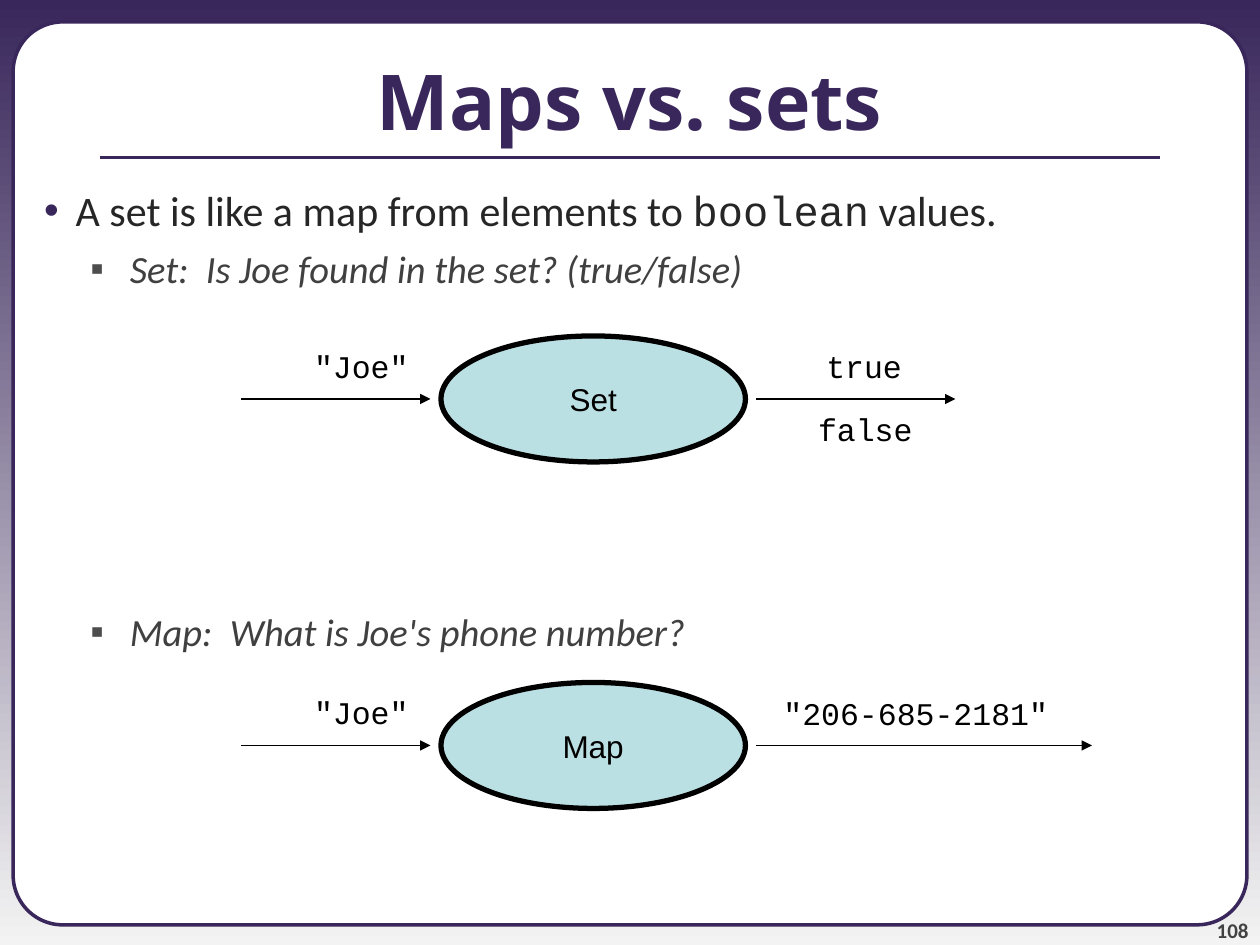
from dataclasses import dataclass

from pptx import Presentation
from pptx import util as u
from pptx.dml.color import RGBColor
from pptx.enum import shapes, text
from pptx.oxml import parse_xml
from pptx.oxml.ns import nsdecls


@dataclass(frozen=True)
class Theme:
    purple: str = "39275B"
    pale: str = "F3F3F3"
    white: str = "FFFFFF"
    black: str = "000000"
    oval: str = "BBE0E3"
    body: str = "262626"
    detail: str = "404040"
    marker: str = "4D4D4D"
    number: str = "424242"
    heading_font: str = "Open Sans"
    body_font: str = "Calibri"
    code_font: str = "Courier New"
    label_font: str = "Arial"
    title_size: float = 44
    point_size: float = 24
    detail_size: float = 22
    label_size: float = 18
    number_size: float = 12


def apply(target, values):
    for name, value in values.items():
        setattr(target, name, value)


class SlideBuilder:
    def __init__(self, presentation, theme):
        self.theme = theme
        self.slide = presentation.slides.add_slide(presentation.slide_layouts[1])

    def background(self, top, bottom):
        fill = self.slide.background.fill
        fill.gradient()
        fill.gradient_angle = 270
        for stop, color in zip(fill.gradient_stops, (top, bottom)):
            stop.color.rgb = RGBColor.from_string(color)

    def place(self, shape, left, top, width, height):
        values = dict(left=left, top=top, width=width, height=height)
        apply(shape, {name: u.Pt(value) for name, value in values.items()})

    def frame(self, shape, margins=(7.2, 3.6), **values):
        horizontal, vertical = (u.Pt(margin) for margin in margins)
        defaults = dict(
            margin_left=horizontal, margin_right=horizontal,
            margin_top=vertical, margin_bottom=vertical,
            auto_size=text.MSO_AUTO_SIZE.NONE, word_wrap=True,
            vertical_anchor=text.MSO_ANCHOR.TOP,
        )
        apply(shape.text_frame, {**defaults, **values})
        return shape.text_frame

    def words(self, paragraph, content, font, size, color, **values):
        run = paragraph.add_run()
        run.text = content
        apply(run.font, dict(name=font, size=u.Pt(size), **values))
        run.font.color.rgb = RGBColor.from_string(color)

    def shape(self, kind, box, fill, line, weight):
        shape = self.slide.shapes.add_shape(kind, *map(u.Pt, box))
        shape.shadow.inherit = False
        shape.fill.solid()
        shape.fill.fore_color.rgb = RGBColor.from_string(fill)
        shape.line.color.rgb = RGBColor.from_string(line)
        shape.line.width = u.Pt(weight)
        return shape

    def panel(self, box):
        theme = self.theme
        panel = self.shape(shapes.MSO_SHAPE.ROUNDED_RECTANGLE, box, theme.white, theme.purple, 2)
        panel.adjustments[0] = 0.055
        self.slide.shapes.title.element.addprevious(panel.element)

    def title(self, content, box):
        theme, title = self.theme, self.slide.shapes.title
        self.place(title, *box)
        frame = self.frame(title, vertical_anchor=text.MSO_ANCHOR.MIDDLE)
        paragraph = frame.paragraphs[0]
        paragraph.alignment = text.PP_ALIGN.CENTER
        self.words(paragraph, content, theme.heading_font, theme.title_size, theme.purple, bold=True)

    def bullets(self, box):
        body = self.slide.placeholders[1]
        self.place(body, *box)
        return self.frame(body)

    def bullet(self, paragraph, level, before, indent, hanging, mark, color):
        apply(paragraph, dict(level=level, space_before=u.Pt(before), alignment=text.PP_ALIGN.LEFT))
        properties = paragraph._p.get_or_add_pPr()
        properties.set("marL", str(u.Pt(indent)))
        properties.set("indent", str(-u.Pt(hanging)))
        for tag, content in (
            ("buClr", f'><a:srgbClr val="{color}"/></a:buClr>'),
            ("buFont", ' typeface="Arial"/>'),
            ("buChar", f' char="{mark}"/>'),
        ):
            properties.append(parse_xml(f'<a:{tag} {nsdecls("a")}{content}'))

    def point(self, paragraph, pieces):
        theme = self.theme
        self.bullet(paragraph, 0, 6, 36, 18, "•", theme.purple)
        for content, font in pieces:
            self.words(paragraph, content, font, theme.point_size, theme.body)

    def detail(self, paragraph, content, before):
        theme = self.theme
        self.bullet(paragraph, 1, before, 67, 22.5, "▪", theme.marker)
        self.words(paragraph, content, theme.body_font, theme.detail_size, theme.detail, italic=True)

    def line(self, start, end, color, weight, arrow=False):
        line = self.slide.shapes.add_connector(
            shapes.MSO_CONNECTOR.STRAIGHT, *map(u.Pt, (*start, *end)))
        line.line.color.rgb = RGBColor.from_string(color)
        line.line.width = u.Pt(weight)
        if arrow:
            line.get_or_add_ln().append(
                parse_xml(f'<a:tailEnd {nsdecls("a")} type="triangle"/>'))
        line.element.spPr.append(parse_xml(f'<a:effectLst {nsdecls("a")}/>'))

    def oval(self, content, box):
        theme = self.theme
        oval = self.shape(shapes.MSO_SHAPE.OVAL, box, theme.oval, theme.black, 3)
        frame = self.frame(oval, word_wrap=False, vertical_anchor=text.MSO_ANCHOR.MIDDLE)
        paragraph = frame.paragraphs[0]
        paragraph.alignment = text.PP_ALIGN.CENTER
        self.words(paragraph, content, theme.label_font, theme.label_size, theme.black)

    def label(self, content, left, top, width):
        theme = self.theme
        box = self.slide.shapes.add_textbox(*map(u.Pt, (left, top, width, 29)))
        frame = self.frame(box, word_wrap=False, auto_size=text.MSO_AUTO_SIZE.SHAPE_TO_FIT_TEXT)
        paragraph = frame.paragraphs[0]
        paragraph.alignment = text.PP_ALIGN.RIGHT
        self.words(paragraph, content, theme.code_font, theme.label_size, theme.black)

    def page_number(self, content, box):
        theme = self.theme
        shape = self.slide.shapes.add_textbox(*map(u.Pt, box))
        frame = self.frame(shape, (0, 0), vertical_anchor=text.MSO_ANCHOR.BOTTOM)
        paragraph = frame.paragraphs[0]
        paragraph.alignment = text.PP_ALIGN.RIGHT
        self.words(paragraph, content, theme.body_font, theme.number_size, theme.number, bold=True)

    def lookup(self, name, middle, output_end, results):
        black = self.theme.black
        self.oval(name, (252, middle - 36, 174, 72))
        for start, end in ((138, 246), (432, output_end)):
            self.line((start, middle), (end, middle), black, 0.75, arrow=True)
        for content, left, offset, width in (('"Joe"', 172, -33.5, 68.5), *results):
            self.label(content, left, middle + offset, width)


theme = Theme()
presentation = Presentation()
apply(presentation, dict(slide_width=u.Pt(720), slide_height=u.Pt(540)))
builder = SlideBuilder(presentation, theme)

builder.background(theme.purple, theme.pale)
builder.panel((7.5, 12.5, 705, 516))
builder.page_number("108", (654, 510, 59.5, 28.5))
builder.line((57, 90), (663, 90), theme.purple, 2.25)
builder.title("Maps vs. sets", (0, 12, 720, 90))

body = builder.bullets((0, 102, 720, 438))
builder.point(body.paragraphs[0], (
    ("A set is like a map from elements to ", theme.body_font),
    ("boolean", theme.code_font),
    (" values.", theme.body_font),
))
for question, before in (
    ("Set:  Is Joe found in the set? (true/false)", 5.5),
    ("Map:  What is Joe's phone number?", 181),
):
    builder.detail(body.add_paragraph(), question, before)

builder.lookup("Set", 228, 546, (("true", 465, -33, 57.5), ("false", 460, 3, 68.5)))
builder.lookup("Map", 426, 624, (('"206-685-2181"', 440.5, -33, 165.5),))

presentation.save("out.pptx")
